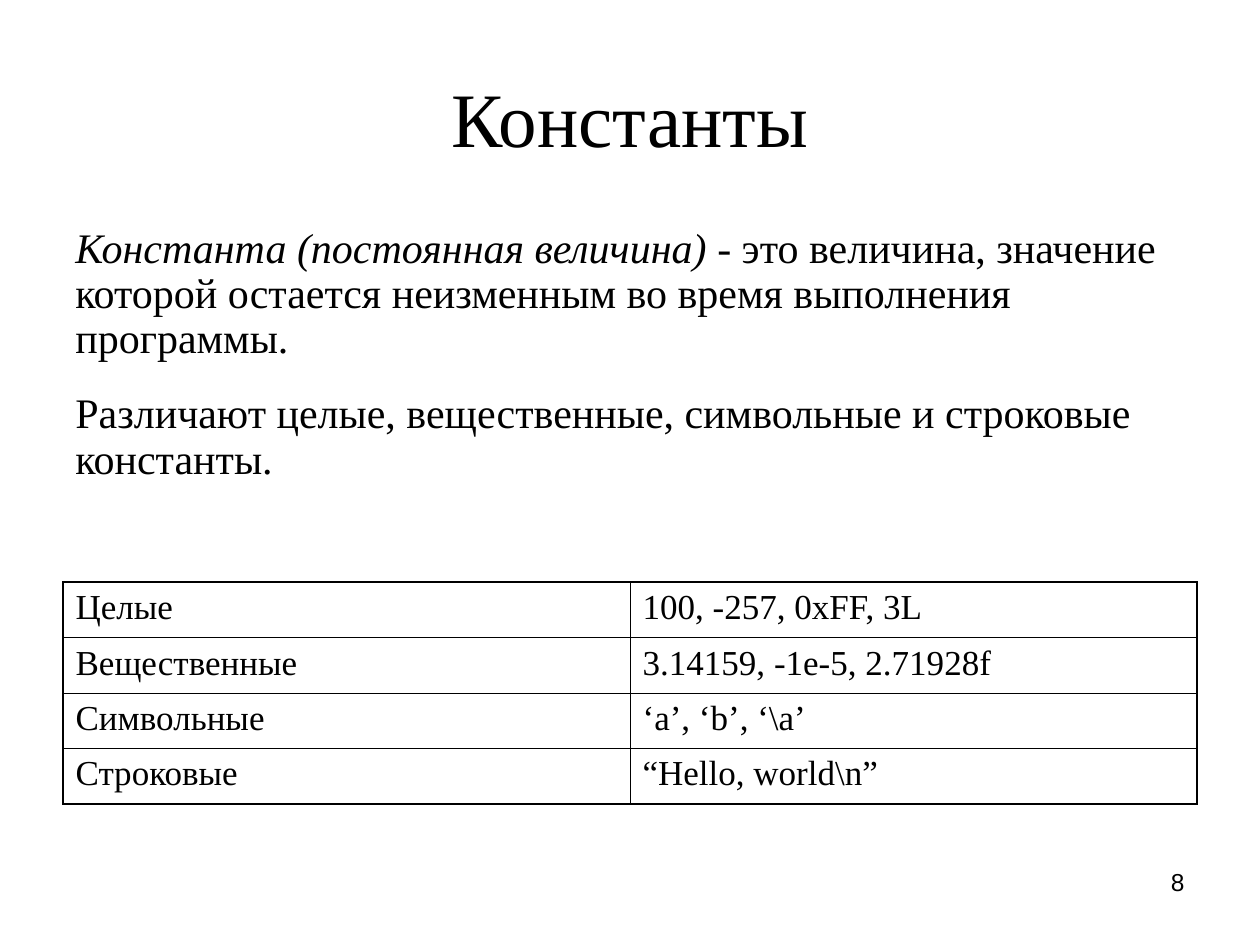
import lxml.etree
import pptx
import pptx.dml.color
import pptx.enum.text
import pptx.oxml.ns
import pptx.util

Inches = pptx.util.Inches
Pt = pptx.util.Pt
ALIGN = pptx.enum.text.PP_ALIGN
ANCHOR = pptx.enum.text.MSO_ANCHOR
SERIF = "Times New Roman"
BLACK = "000000"
EXAMPLES = [
    ("Целые", "100, -257, 0xFF, 3L"),
    ("Вещественные", "3.14159, -1e-5, 2.71928f"),
    ("Символьные", "‘a’, ‘b’, ‘\\a’"),
    ("Строковые", "“Hello, world\\n”"),
]


def rgb(value):
    """Turn a hex string into a colour."""
    return pptx.dml.color.RGBColor.from_string(value)


def write(paragraph, text, size, font=SERIF, color=BLACK, italic=False,
          align=ALIGN.LEFT, before=0, spacing=1.0):
    """Add a formatted run to a paragraph and set the paragraph's layout."""
    paragraph.alignment = align
    paragraph.space_before = Pt(before)
    paragraph.line_spacing = spacing
    run = paragraph.add_run()
    run.text = text
    run.font.size = Pt(size)
    run.font.name = font
    run.font.italic = italic
    run.font.color.rgb = rgb(color)


def add_frame(slide, left, top, width, height, anchor=ANCHOR.TOP):
    """Add a wrapping text box and return its text frame."""
    frame = slide.shapes.add_textbox(
        Inches(left), Inches(top), Inches(width), Inches(height)).text_frame
    frame.word_wrap = True
    frame.vertical_anchor = anchor
    return frame


def set_border(cell, side, width, color=BLACK):
    """Draw one side of a cell as a solid line."""
    qn = pptx.oxml.ns.qn
    line = lxml.etree.SubElement(
        cell._tc.get_or_add_tcPr(), qn(f"a:ln{side}"), w=str(Pt(width)))
    fill = lxml.etree.SubElement(line, qn("a:solidFill"))
    lxml.etree.SubElement(fill, qn("a:srgbClr"), val=color)


def add_examples(slide, rows, left, top, width, row_height):
    """Add the table of constants with a heavier outer frame."""
    last_row, last_column = len(rows) - 1, len(rows[0]) - 1
    table = slide.shapes.add_table(
        len(rows), len(rows[0]), Inches(left), Inches(top),
        Inches(width), Inches(row_height * len(rows))).table
    table.first_row = table.horz_banding = False
    for r, row in enumerate(rows):
        for c, text in enumerate(row):
            cell = table.cell(r, c)
            write(cell.text_frame.paragraphs[0], text, 20, before=5)
            outer = {"L": c == 0, "R": c == last_column,
                     "T": r == 0, "B": r == last_row}
            for side, is_outer in outer.items():
                set_border(cell, side, 1.08 if is_outer else 0.45)
            cell.fill.background()


def main():
    """Build the slide about constants."""
    deck = pptx.Presentation()
    deck.slide_width, deck.slide_height = Inches(10), Inches(7.5)
    slide = deck.slides.add_slide(deck.slide_layouts[6])

    number = add_frame(slide, 7.17, 6.83, 2.33, 0.52)
    write(number.paragraphs[0], "8", 14, font="Arial", align=ALIGN.RIGHT)

    title = add_frame(slide, 0.5, 0.3, 9, 1.25, anchor=ANCHOR.MIDDLE)
    write(title.paragraphs[0], "Константы", 44, align=ALIGN.CENTER)

    body = add_frame(slide, 0.5, 1.75, 9, 2.79)
    definition = body.paragraphs[0]
    write(definition, "Константа (постоянная величина)", 24, italic=True,
          before=6, spacing=0.9)
    write(definition, " - это величина, значение которой остается неизменным "
          "во время выполнения программы.", 24, before=6, spacing=0.9)
    write(body.add_paragraph(), "Различают целые, вещественные, символьные "
          "и строковые константы.", 24, before=17, spacing=0.9)

    add_examples(slide, EXAMPLES, 0.5, 4.62, 9, 0.44)
    deck.save("out.pptx")


if __name__ == "__main__":
    main()
